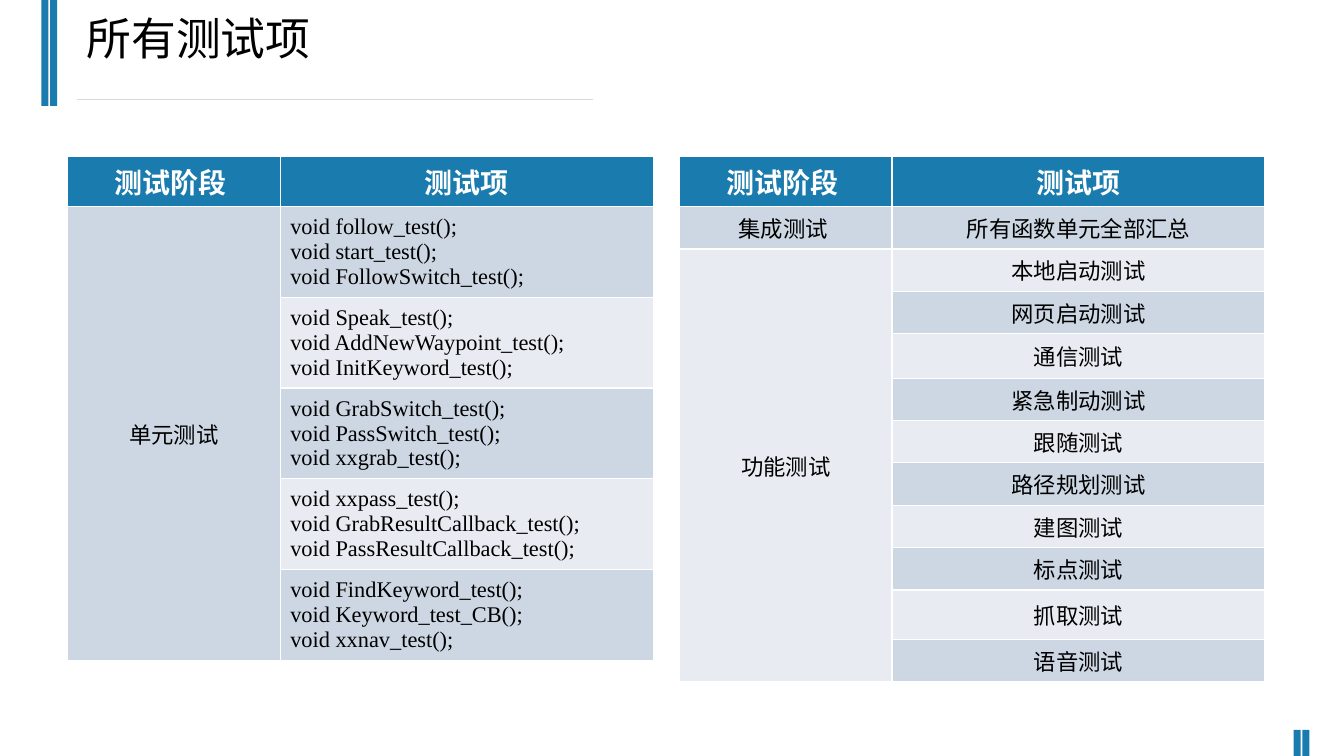
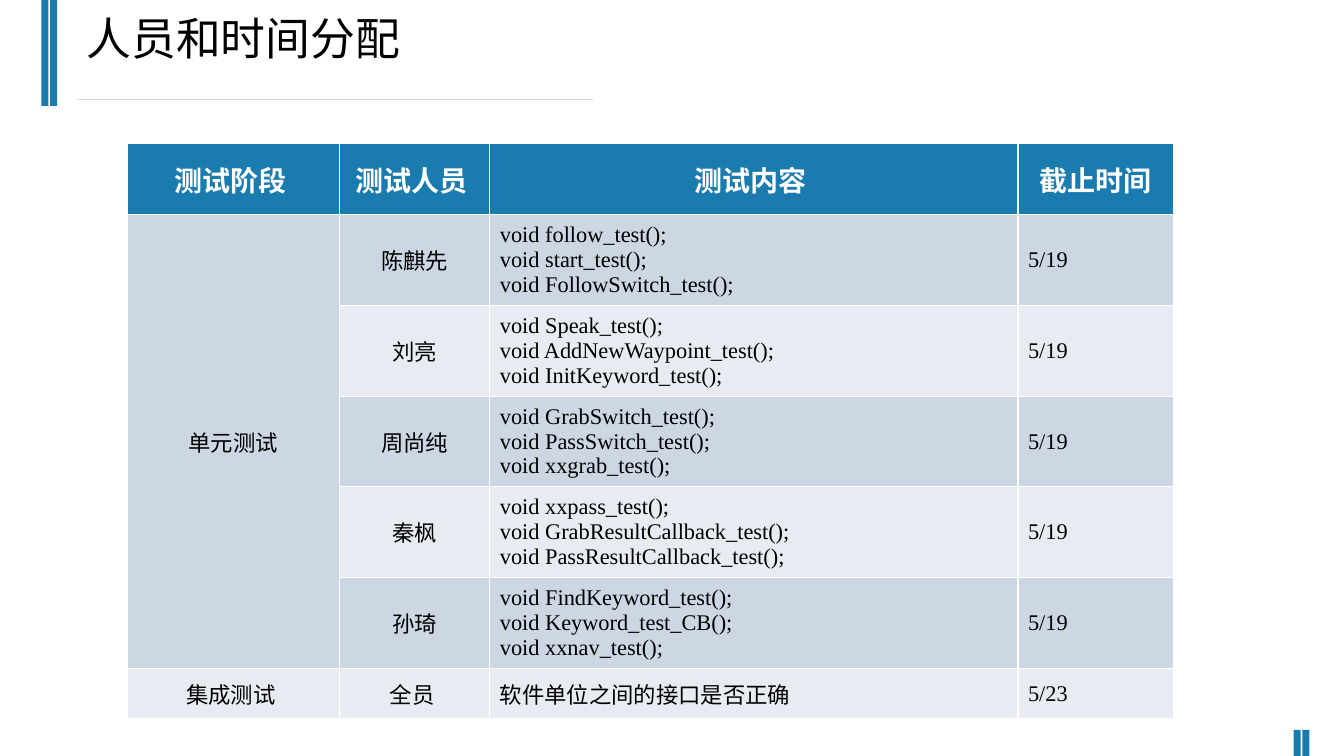
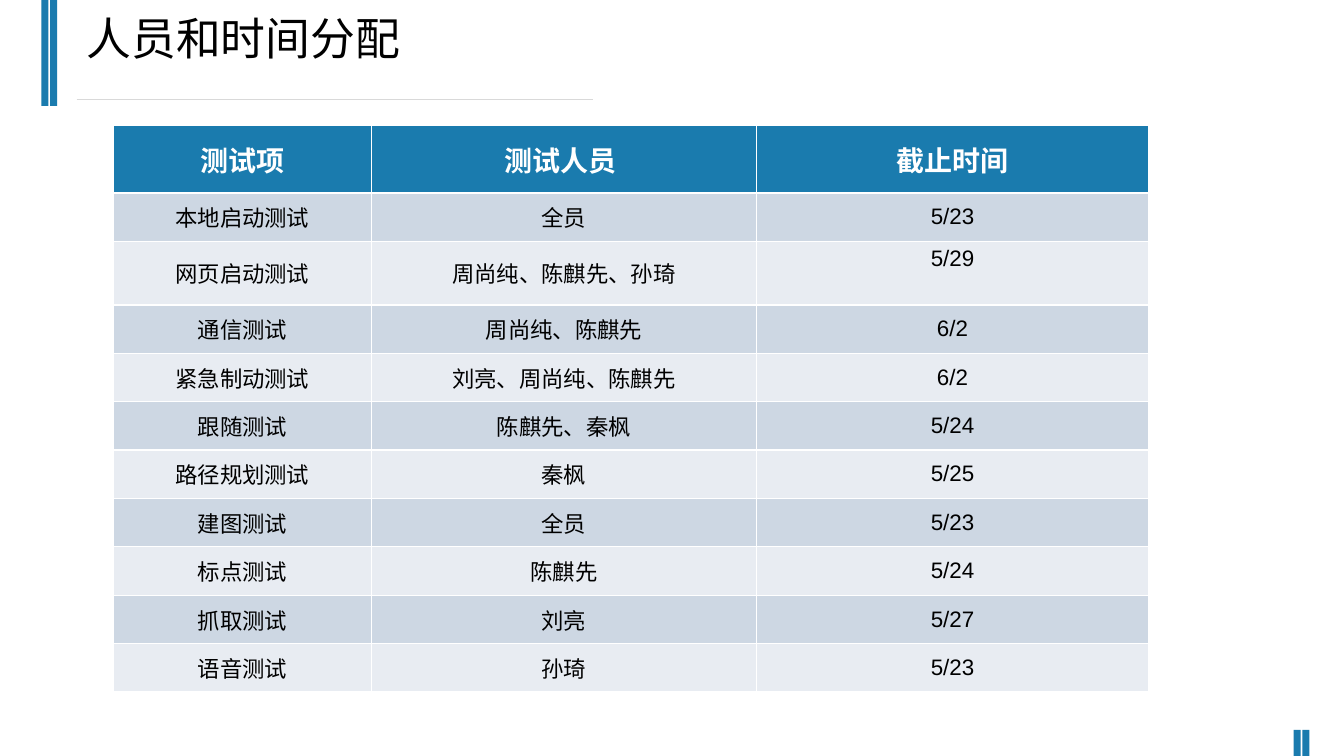
from lxml.etree import SubElement
from pptx import Presentation
from pptx.dml.color import RGBColor
from pptx.enum.shapes import MSO_CONNECTOR, MSO_SHAPE
from pptx.enum.text import MSO_ANCHOR, PP_ALIGN
from pptx.oxml.ns import qn
from pptx.util import Inches, Pt

BLUE = RGBColor(0x1A, 0x7B, 0xAE)
BAND_DARK = RGBColor(0xCD, 0xD7, 0xE3)
BAND_LIGHT = RGBColor(0xE8, 0xEC, 0xF2)
GREY = RGBColor(0xD9, 0xD9, 0xD9)
BLACK = RGBColor(0, 0, 0)
WHITE = RGBColor(0xFF, 0xFF, 0xFF)

SANS, SERIF, NARROW, CJK = "Arial", "Times New Roman", "Arial Narrow", "Noto Sans CJK SC"
ALIGN = {"c": PP_ALIGN.CENTER, "l": PP_ALIGN.LEFT}

GRID_COLS, GRID_ROWS = 160, 90  # square grid, twelve units to the inch

UNIT_TESTS = [
    "void follow_test();\nvoid start_test();\nvoid FollowSwitch_test();",
    "void Speak_test();\nvoid AddNewWaypoint_test();\nvoid InitKeyword_test();",
    "void GrabSwitch_test();\nvoid PassSwitch_test();\nvoid xxgrab_test();",
    "void xxpass_test();\nvoid GrabResultCallback_test();\nvoid PassResultCallback_test();",
    "void FindKeyword_test();\nvoid Keyword_test_CB();\nvoid xxnav_test();",
]
TESTERS = ["陈麒先", "刘亮", "周尚纯", "秦枫", "孙琦"]
FUNCTION_TESTS = [
    ("本地启动测试", "全员", "5/23"),
    ("网页启动测试", "周尚纯、陈麒先、孙琦", "5/29"),
    ("通信测试", "周尚纯、陈麒先", "6/2"),
    ("紧急制动测试", "刘亮、周尚纯、陈麒先", "6/2"),
    ("跟随测试", "陈麒先、秦枫", "5/24"),
    ("路径规划测试", "秦枫", "5/25"),
    ("建图测试", "全员", "5/23"),
    ("标点测试", "陈麒先", "5/24"),
    ("抓取测试", "刘亮", "5/27"),
    ("语音测试", "孙琦", "5/23"),
]


def grid(*lengths):
    """Turn grid units into slide lengths."""
    return [Inches(n / 12) for n in lengths]


def staged(stage, rows):
    """Put the stage before the first row and None, meaning merged, before the rest."""
    return [(None if i else stage, *row) for i, row in enumerate(rows)]


class Deck:
    def __init__(self):
        self.prs = Presentation()
        self.prs.slide_width, self.prs.slide_height = grid(GRID_COLS, GRID_ROWS)
        self.s = None

    def slide(self, title):
        self.s = self.prs.slides.add_slide(self.prs.slide_layouts[6])
        self.bar_pair(4.92, 0, 12.6)
        self.bar_pair(154, 86.88, 3.12)
        self.rule(9.12, 70.56, 11.88)
        tf = self.s.shapes.add_textbox(*grid(9.12, 0.72, 104, 7.68)).text_frame
        tf.word_wrap = True
        self.add_text(tf.paragraphs[0], title, 32, NARROW, BLACK)

    def bar_pair(self, x, y, height):
        for left in (x, x + 1.04):
            sp = self.s.shapes.add_shape(MSO_SHAPE.RECTANGLE, *grid(left, y, 0.84, height))
            sp.shadow.inherit = False
            sp.fill.solid()
            sp.fill.fore_color.rgb = BLUE
            sp.line.fill.background()

    def rule(self, x1, x2, y):
        line = self.s.shapes.add_connector(MSO_CONNECTOR.STRAIGHT, *grid(x1, y, x2, y))
        line.line.color.rgb = GREY
        line.line.width = Pt(0.75)
        SubElement(line._element.spPr, qn("a:effectLst"))

    def add_text(self, p, text, size, font, color, bold=False):
        for i, part in enumerate(text.split("\n")):
            if i:
                p.add_line_break()
            r = p.add_run()
            r.text = part
            r.font.size, r.font.bold, r.font.name = Pt(size), bold, font
            r.font.color.rgb = color
            SubElement(r._r.get_or_add_rPr(), qn("a:ea"), typeface=CJK)
        for br in p._p.findall(qn("a:br")):
            SubElement(br, qn("a:rPr"), sz=str(size * 100))

    def borders(self, cell):
        tc_pr = cell._tc.get_or_add_tcPr()
        for i, side in enumerate(("lnL", "lnR", "lnT", "lnB")):
            ln = SubElement(tc_pr, qn(f"a:{side}"), w=str(int(Pt(1))))
            SubElement(SubElement(ln, qn("a:solidFill")), qn("a:srgbClr"), val=str(WHITE))
            tc_pr.insert(i, ln)

    def table(self, x, y, cols, heights, rows, aligns, font=SANS):
        """Draw a banded table; a None cell joins the cell above it."""
        table = self.s.shapes.add_table(
            len(rows), len(cols), *grid(x, y, sum(cols), sum(heights))).table
        for col, width in zip(table.columns, grid(*cols)):
            col.width = width
        for row, height in zip(table.rows, grid(*heights)):
            row.height = height
        for i, row in enumerate(rows):
            for j, text in enumerate(row):
                cell = table.cell(i, j)
                cell.fill.solid()
                cell.fill.fore_color.rgb = (
                    BLUE if i == 0 else BAND_DARK if i % 2 else BAND_LIGHT)
                cell.vertical_anchor = MSO_ANCHOR.MIDDLE
                self.borders(cell)
                if text is None:
                    continue
                p = cell.text_frame.paragraphs[0]
                if i == 0:
                    p.alignment = PP_ALIGN.CENTER
                    self.add_text(p, text, 20, font, WHITE, True)
                else:
                    p.alignment = ALIGN[aligns[j]]
                    face = SERIF if text.startswith("void") else font
                    self.add_text(p, text, 16, face, BLACK)
                end = i
                while end + 1 < len(rows) and rows[end + 1][j] is None:
                    end += 1
                if end > i:
                    cell.merge(table.cell(end, j))
        return table


def main():
    deck = Deck()

    deck.slide("所有测试项")
    stage_cols = [25.32, 44.4]
    header = ("测试阶段 ", "测试项")
    deck.table(8.04, 18.6, stage_cols, [6] + [10.08] * 5,
               [header] + staged("单元测试", [(code,) for code in UNIT_TESTS]), "cl")
    deck.table(80.88, 18.6, stage_cols,
               [6] + [5.05] * 3 + [5.28] + [5.05] * 5 + [5.88, 5.05],
               [header, ("集成测试 ", "所有函数单元全部汇总")]
               + staged("功能测试", [row[:1] for row in FUNCTION_TESTS]), "cc")

    deck.slide("人员和时间分配")
    unit_rows = [(who, code, "5/19") for who, code in zip(TESTERS, UNIT_TESTS)]
    deck.table(15.12, 17.04, [25.32, 17.88, 62.88, 18.48], [8.52] + [10.08] * 5 + [6],
               [("测试阶段 ", "测试人员 ", "测试内容 ", "截止时间")]
               + staged("单元测试", unit_rows)
               + [("集成测试 ", "全员 ", "软件单位之间的接口是否正确", "5/23")],
               "ccll", SERIF)

    deck.slide("人员和时间分配")
    plan = deck.table(13.5, 14.95, [30.72, 45.84, 46.68], [8.04, 5.76, 7.56] + [5.76] * 8,
                      [("测试项", "测试人员 ", "截止时间")] + FUNCTION_TESTS, "ccc")
    plan.cell(2, 2).vertical_anchor = MSO_ANCHOR.TOP

    deck.prs.save("out.pptx")


if __name__ == "__main__":
    main()
